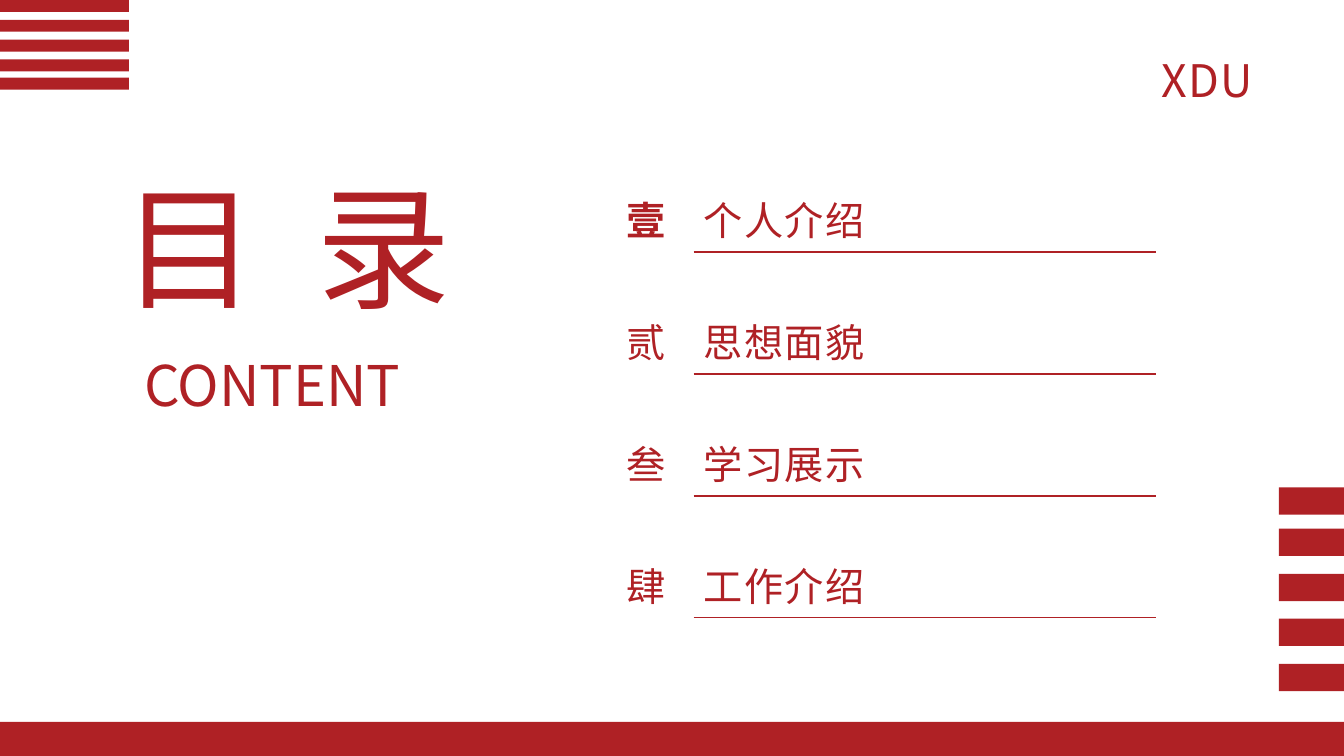
from dataclasses import dataclass

from lxml.etree import SubElement
from pptx import Presentation
from pptx.dml.color import RGBColor
from pptx.enum.shapes import MSO_SHAPE
from pptx.enum.text import MSO_ANCHOR, PP_ALIGN
from pptx.oxml import parse_xml
from pptx.oxml.ns import nsdecls, qn
from pptx.slide import Slide
from pptx.table import Table, _Cell
from pptx.text.text import TextFrame
from pptx.util import Cm, Pt

COLORS = {"red": "AF2125"}
RED = RGBColor.from_string(COLORS["red"])
FONT = "Noto Sans CJK SC"
PLAIN = "{2D5ABB26-0587-4C30-8999-92F81FD0307C}"  # table style without grid
WIDTH, HEIGHT = 33.87, 19.05


@dataclass
class Label:
    text: str
    left: float
    top: float
    width: float
    height: float
    size: float
    align: PP_ALIGN = PP_ALIGN.LEFT
    lead: float = 1.0
    track: float = 0


@dataclass
class Bars:
    left: float
    width: float
    height: float
    tops: tuple[float, ...]


@dataclass
class Topic:
    mark: str
    title: str
    bold: bool = False


LABELS = [
    Label("XDU", 29.01, 0.79, 3.2, 2.18, 32, PP_ALIGN.JUSTIFY, 1.3, 1),
    Label("目 录", 2.84, 4.01, 10.2, 4.72, 96, track=10.75),
    Label("CONTENT", 3.38, 8.71, 8.51, 2.13, 40, PP_ALIGN.JUSTIFY),
]
BARS = [
    Bars(0, WIDTH, 0.86, (18.19,)),
    Bars(0, 3.25, 0.3, (0, 0.5, 1, 1.5, 1.96)),
    Bars(32.23, 1.64, 0.69, (12.28, 13.32, 14.46, 15.59, 16.73)),
]
TOPICS = [
    Topic("壹", "个人介绍", bold=True),
    Topic("贰", "思想面貌"),
    Topic("叁", "学习展示"),
    Topic("肆", "工作介绍"),
]
COLS = (1.94, 9.15, 2.49)
ROW = 3.07


def write(frame: TextFrame, text: str, size: float, align: PP_ALIGN,
          lead: float, track: float, bold: bool = False) -> None:
    frame.text = text
    para = frame.paragraphs[0]
    para.alignment = align
    para.line_spacing = lead
    run = para.runs[0]
    font = run.font
    font.size, font.bold, font.name = Pt(size), bold, FONT
    font.color.rgb = RED
    props = run._r.get_or_add_rPr()
    props.set("spc", str(round(track * 100)))
    SubElement(props, qn("a:ea"), typeface=FONT)


def add_label(slide: Slide, label: Label) -> None:
    box = slide.shapes.add_textbox(Cm(label.left), Cm(label.top),
                                   Cm(label.width), Cm(label.height))
    box.text_frame.word_wrap = True
    write(box.text_frame, label.text, label.size, label.align,
          label.lead, label.track)


def add_bars(slide: Slide, bars: Bars) -> None:
    for top in bars.tops:
        bar = slide.shapes.add_shape(MSO_SHAPE.RECTANGLE, Cm(bars.left), Cm(top),
                                     Cm(bars.width), Cm(bars.height))
        bar.shadow.inherit = False
        bar.fill.solid()
        bar.fill.fore_color.rgb = RED
        bar.line.fill.background()


def rule(cell: _Cell) -> None:
    """Draw a red line under the cell."""
    cell._tc.get_or_add_tcPr().insert(0, parse_xml(
        f'<a:lnB {nsdecls("a")} w="{Pt(1.5)}"><a:solidFill>'
        f'<a:srgbClr val="{COLORS["red"]}"/></a:solidFill></a:lnB>'))


def add_table(slide: Slide) -> Table:
    count = len(TOPICS) + 1
    table = slide.shapes.add_table(count, len(COLS), Cm(15.54), Cm(3.28),
                                   Cm(sum(COLS)), Cm(ROW * count)).table
    table.first_row = table.horz_banding = False
    table._tbl.tblPr.find(qn("a:tableStyleId")).text = PLAIN
    for col, width in zip(table.columns, COLS):
        col.width = Cm(width)
    for row in table.rows:
        row.height = Cm(ROW)
    for cell in table.iter_cells():
        cell.fill.background()
    return table


def add_topics(slide: Slide) -> None:
    table = add_table(slide)
    for row, topic in enumerate(TOPICS):
        for col, text in enumerate((topic.mark, topic.title)):
            cell = table.cell(row, col)
            cell.vertical_anchor = MSO_ANCHOR.BOTTOM
            write(cell.text_frame, text, 28, PP_ALIGN.JUSTIFY, 1.5, 1,
                  topic.bold and col == 0)
        for col in (1, 2):
            rule(table.cell(row, col))


def main() -> None:
    deck = Presentation()
    deck.slide_width, deck.slide_height = Cm(WIDTH), Cm(HEIGHT)
    slide = deck.slides.add_slide(deck.slide_layouts[6])
    for label in LABELS:
        add_label(slide, label)
    add_topics(slide)
    for bars in BARS:
        add_bars(slide, bars)
    deck.save("out.pptx")


if __name__ == "__main__":
    main()
